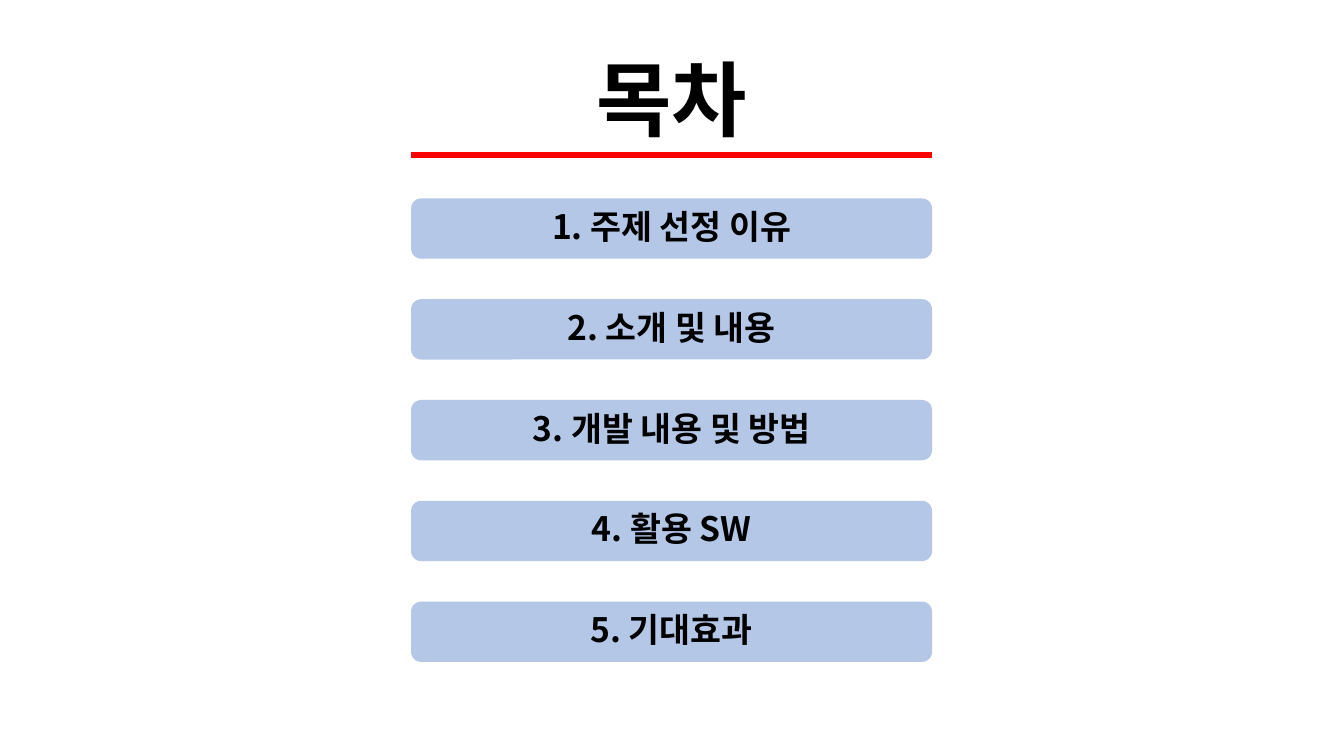
import pptx
import pptx.dml.color
import pptx.enum.shapes
import pptx.enum.text
import pptx.oxml
import pptx.oxml.ns
import pptx.util
from pptx.util import Cm

COLORS = {"bar": "B4C7E7", "text": "000000", "rule": "FF0000"}
FONT = "Noto Sans CJK KR"
AGENDA = [
    "1. 주제 선정 이유",
    "2. 소개 및 내용",
    "3. 개발 내용 및 방법",
    "4. 활용 SW",
    "5. 기대효과",
]
LEFT, WIDTH = 10.36, 13.13
RULE_TOP = 3.91
FIRST_BAR_TOP, BAR_HEIGHT, BAR_PITCH = 5, 1.52, 2.54


def color(name):
    return pptx.dml.color.RGBColor.from_string(COLORS[name])


def write_centered(shape, text, size, anchor):
    frame = shape.text_frame
    frame.text = text
    frame.word_wrap = True
    frame.auto_size = pptx.enum.text.MSO_AUTO_SIZE.NONE
    frame.vertical_anchor = anchor
    paragraph = frame.paragraphs[0]
    paragraph.alignment = pptx.enum.text.PP_ALIGN.CENTER
    paragraph.line_spacing = 0.9
    font = paragraph.runs[0].font
    font.name = FONT
    font.size = pptx.util.Pt(size)
    font.bold = True
    font.color.rgb = color("text")
    # Hangul takes its typeface from the East Asian font slot
    east_asian = pptx.oxml.parse_xml(
        f'<a:ea {pptx.oxml.ns.nsdecls("a")} typeface="{FONT}"/>')
    paragraph.runs[0].font._element.find(
        pptx.oxml.ns.qn("a:latin")).addnext(east_asian)


def place_title(slide, text):
    title = slide.shapes.title
    title.left, title.top = Cm(14.5), Cm(1.24)
    title.width, title.height = Cm(4.85), Cm(2.62)
    write_centered(title, text, 58.5, pptx.enum.text.MSO_ANCHOR.BOTTOM)


def add_rule(slide):
    rule = slide.shapes.add_connector(
        pptx.enum.shapes.MSO_CONNECTOR.STRAIGHT,
        Cm(LEFT), Cm(RULE_TOP), Cm(LEFT + WIDTH), Cm(RULE_TOP))
    rule.line.color.rgb = color("rule")
    rule.line.width = pptx.util.Pt(4.5)
    rule._element.spPr.append(pptx.oxml.parse_xml(
        f'<a:effectLst {pptx.oxml.ns.nsdecls("a")}/>'))


def add_agenda_bar(slide, top, text):
    bar = slide.shapes.add_shape(
        pptx.enum.shapes.MSO_SHAPE.ROUNDED_RECTANGLE,
        Cm(LEFT), Cm(top), Cm(WIDTH), Cm(BAR_HEIGHT))
    bar.shadow.inherit = False
    bar.fill.solid()
    bar.fill.fore_color.rgb = color("bar")
    bar.line.fill.background()
    write_centered(bar, text, 24, pptx.enum.text.MSO_ANCHOR.MIDDLE)


def main():
    deck = pptx.Presentation()
    deck.slide_width, deck.slide_height = Cm(33.87), Cm(19.05)
    slide = deck.slides.add_slide(deck.slide_layouts.get_by_name("Title Only"))
    place_title(slide, "목차")
    add_rule(slide)
    for index, topic in enumerate(AGENDA):
        add_agenda_bar(slide, FIRST_BAR_TOP + index * BAR_PITCH, topic)
    deck.save("out.pptx")


if __name__ == "__main__":
    main()
